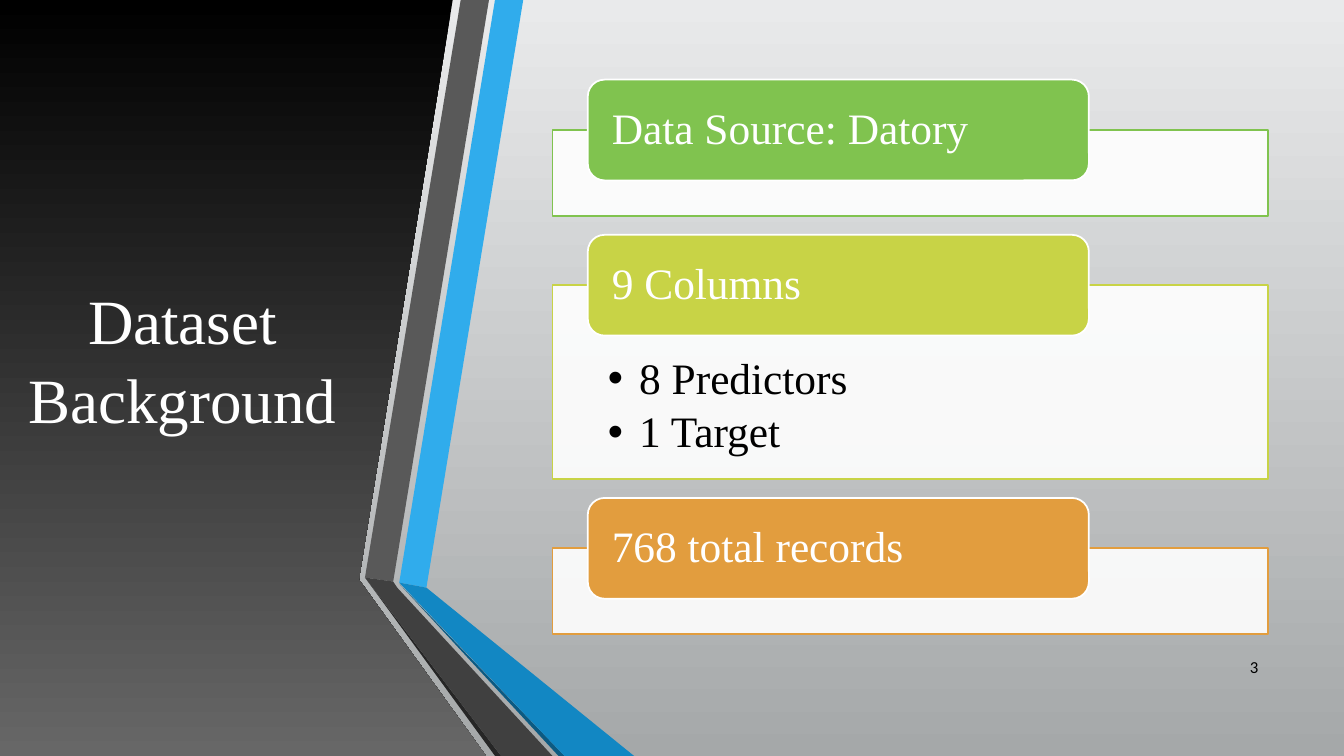
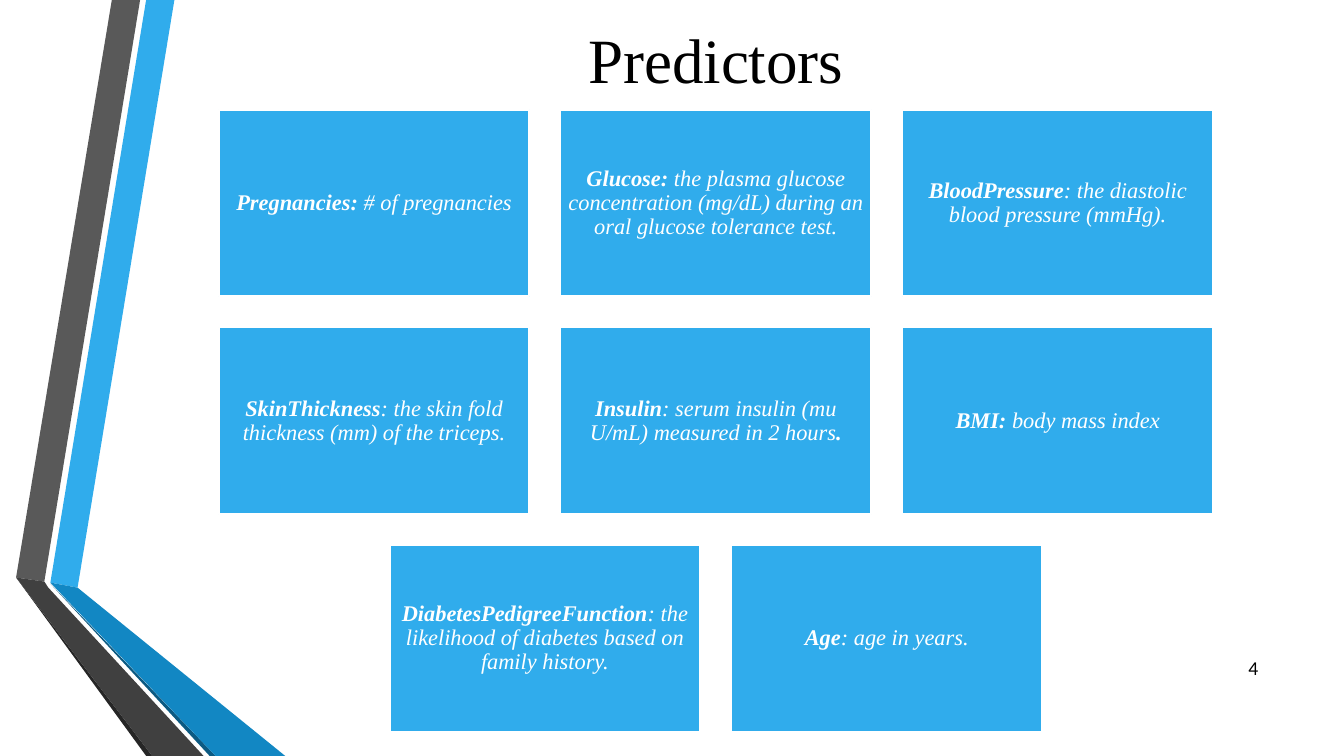
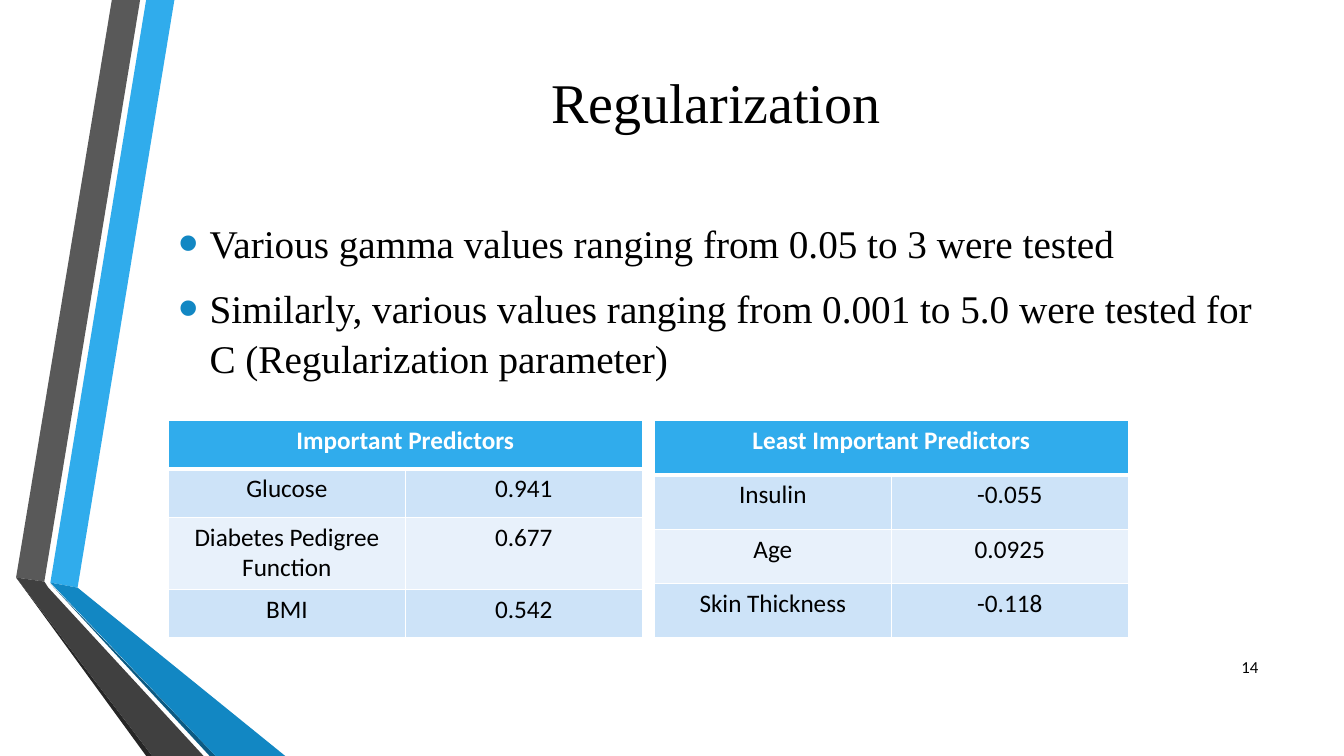
"""Build three slides on a diabetes dataset: background, predictors and regularization."""
from lxml import etree
from pptx import Presentation
from pptx.dml.color import RGBColor
from pptx.enum.shapes import MSO_SHAPE
from pptx.enum.text import MSO_ANCHOR, PP_ALIGN
from pptx.oxml.ns import qn
from pptx.util import Inches, Pt

RECT, ROUND = MSO_SHAPE.RECTANGLE, MSO_SHAPE.ROUNDED_RECTANGLE
TOP, MIDDLE = MSO_ANCHOR.TOP, MSO_ANCHOR.MIDDLE
LEFT, CENTER, RIGHT = PP_ALIGN.LEFT, PP_ALIGN.CENTER, PP_ALIGN.RIGHT

SERIF, SANS = "Times New Roman", "Calibri"
COLORS = {
    "white": "FFFFFF", "black": "000000", "blue": "30ACEC", "deep": "1287C3",
    "navy": "0C5A82", "gray": "595959", "coal": "404040", "soot": "262626",
    "pale": "E9EAEB", "steel": "A5A8A9", "ash": "676767", "green": "80C34F",
    "lime": "C8D346", "orange": "E29D3E", "band": "CDE3F8", "light": "E8F1FB",
}
RIBS = [
    ("blue", [(0.5, 5.78), (0.77, 5.83), (1.73, 0), (1.45, 0)]),
    ("gray", [(1.39, 0), (1.11, 0), (0.16, 5.73), (0.44, 5.77)]),
    ("soot", [(0.16, 5.73), (1.45, 7.5), (1.51, 7.5)]),
    ("navy", [(0.5, 5.79), (2.08, 7.5), (2.14, 7.5)]),
    ("deep", [(0.5, 5.78), (2.14, 7.5), (2.83, 7.5), (0.77, 5.83)]),
    ("coal", [(2.02, 7.5), (0.48, 5.83), (0.44, 5.77), (0.16, 5.73), (1.51, 7.5)]),
]
SIDE = [(0, 0), (4.49, 0), (3.56, 5.75), (4.82, 7.5), (0, 7.5)]
FACTS = [
    ("green", "Data Source: Datory", [], 0.85),
    ("lime", "9 Columns", ["8 Predictors", "1 Target"], 1.92),
    ("orange", "768 total records", [], 0.85),
]
CARDS = [
    [
        [("Pregnancies: ", True), ("# of pregnancies", False)],
        [("Glucose: ", True), ("the plasma glucose concentration (mg/dL) "
                               "during an oral glucose tolerance test.", False)],
        [("BloodPressure", True), (": the diastolic blood pressure (mmHg).", False)],
    ],
    [
        [("SkinThickness", True), (": the skin fold thickness (mm) of the triceps.", False)],
        [("Insulin", True), (": serum insulin (mu U/mL) measured in 2 hours", False), (".", True)],
        [("BMI:", True), (" body mass index", False)],
    ],
    [
        [("DiabetesPedigreeFunction", True),
         (": the likelihood of diabetes based on family history.", False)],
        [("Age", True), (": age in years.", False)],
    ],
]
NOTES = [
    "Various gamma values ranging from 0.05 to 3 were tested",
    "Similarly, various values ranging from 0.001 to 5.0 were tested for "
    "C (Regularization parameter)",
]
TABLES = [
    (1.67, "Important Predictors", [0.48, 0.48, 0.72, 0.48],
     [("Glucose", "0.941"), ("Diabetes Pedigree Function", "0.677"), ("BMI", "0.542")]),
    (6.49, "Least Important Predictors", [0.54] * 4,
     [("Insulin", "-0.055"), ("Age", "0.0925"), ("Skin Thickness", "-0.118")]),
]


def rgb(name):
    """Return the named colour."""
    return RGBColor.from_string(COLORS[name])


def paint(fill, name):
    """Fill with one colour."""
    fill.solid()
    fill.fore_color.rgb = rgb(name)


def fade(fill, top, base):
    """Fill with a gradient that runs down the page."""
    fill.gradient()
    fill.gradient_angle = 270
    for stop, name, place in zip(fill.gradient_stops, (top, base), (0, 1)):
        stop.color.rgb = rgb(name)
        stop.position = place


def bullet(par, color, size):
    """Give a paragraph a hanging bullet."""
    props = par._p.get_or_add_pPr()
    props.set("marL", str(Inches(0.31)))
    props.set("indent", str(-Inches(0.31)))
    tint = etree.SubElement(props, qn("a:buClr"))
    etree.SubElement(tint, qn("a:srgbClr"), val=COLORS[color])
    etree.SubElement(props, qn("a:buSzPct"), val=str(size * 1000))
    etree.SubElement(props, qn("a:buFont"), typeface="Arial")
    etree.SubElement(props, qn("a:buChar"), char="•")


def write(frame, *lines, font=SERIF, size=18, color="black", bold=False, ital=False,
          align=LEFT, space=1.0, before=0, after=0, mark=None):
    """Write paragraphs, each a string or a list of (string, bold) runs."""
    for num, line in enumerate(lines):
        par = frame.add_paragraph() if num else frame.paragraphs[0]
        par.alignment, par.line_spacing = align, space
        par.space_before, par.space_after = Pt(before), Pt(after)
        if mark:
            bullet(par, *mark)
        for words, heavy in [(line, bold)] if isinstance(line, str) else line:
            run = par.add_run()
            run.text = words
            run.font.name, run.font.size = font, Pt(size)
            run.font.bold, run.font.italic = heavy, ital
            run.font.color.rgb = rgb(color)


def fit(frame, anchor=MIDDLE, inset=(0.1, 0.05, 0.1, 0.05)):
    """Set wrap, anchor and margins of a text frame and return it."""
    frame.word_wrap, frame.vertical_anchor = True, anchor
    (frame.margin_left, frame.margin_top,
     frame.margin_right, frame.margin_bottom) = map(Inches, inset)
    return frame


def label(slide, area, *lines, anchor=MIDDLE, **style):
    """Add a text box."""
    box = slide.shapes.add_textbox(*map(Inches, area))
    write(fit(box.text_frame, anchor), *lines, **style)


def block(slide, kind, area, fill, line):
    """Add a filled and outlined preset shape."""
    shape = slide.shapes.add_shape(kind, *map(Inches, area))
    shape.shadow.inherit = False
    paint(shape.fill, fill)
    shape.line.color.rgb = rgb(line)
    shape.line.width = Pt(1.25)
    return shape


def outline(slide, points, shift=0):
    """Add a closed polygon without a line."""
    spots = [(Inches(x + shift), Inches(y)) for x, y in points]
    maker = slide.shapes.build_freeform(*spots[0])
    maker.add_line_segments(spots[1:], close=True)
    shape = maker.convert_to_shape()
    shape.shadow.inherit = False
    shape.line.fill.background()
    return shape


def ribs(slide, shift=0):
    """Add the folded ribbons."""
    for name, points in RIBS:
        paint(outline(slide, points, shift).fill, name)


def title(slide, words, area, size=45, color="black", space=1.0):
    """Add the slide title."""
    label(slide, area, words, size=size, color=color, align=CENTER, space=space)


def number(slide, page, size=12):
    """Add the page number."""
    label(slide, (11.98, 6.42, 0.6, 0.4), page, font=SANS, size=size, align=RIGHT)


def panel(slide, top, color, head, items, height):
    """Add a panel with a tab on its upper edge."""
    back = block(slide, RECT, (5.48, top + 0.5, 7.1, height), "white", color)
    tint = back._element.spPr.find(qn("a:solidFill"))[0]
    etree.SubElement(tint, qn("a:alpha"), val="90000")
    if items:
        frame = fit(back.text_frame, TOP, (0.55, 0.71, 0.55, 0.24))
        write(frame, *items, size=31, space=0.9, after=4.65, mark=("black", 100))
    tab = block(slide, ROUND, (5.83, top, 4.97, 1), color, "white")
    frame = fit(tab.text_frame, inset=(0.19, 0, 0.19, 0))
    write(frame, head, size=31, color="white", space=0.9)


def border(cell, **widths):
    """Draw white cell borders, keyed by side."""
    props = cell._tc.get_or_add_tcPr()
    for side in "LRTB":
        edge = etree.SubElement(props, qn("a:ln" + side), w=str(Pt(widths.get(side, 1))))
        fill = etree.SubElement(edge, qn("a:solidFill"))
        etree.SubElement(fill, qn("a:srgbClr"), val=COLORS["white"])


def grid(slide, left, head, heights, rows):
    """Add a two-column table under one merged heading."""
    area = map(Inches, (left, 4.17, 4.7, sum(heights)))
    table = slide.shapes.add_table(len(heights), 2, *area).table
    for row, height in zip(table.rows, heights):
        row.height = Inches(height)
    table.cell(0, 0).merge(table.cell(0, 1))
    for r, row in enumerate([(head, ""), *rows]):
        for c, words in enumerate(row):
            cell = table.cell(r, c)
            border(cell, T=3 if r == 1 else 1, B=1 if r else 3)
            paint(cell.fill, ("light", "band")[r % 2] if r else "blue")
            if words:
                write(cell.text_frame, words, font=SANS, align=CENTER, bold=r == 0,
                      color="black" if r else "white")


def source(slide):
    """Build the dataset slide."""
    fade(slide.background.fill, "pale", "steel")
    fade(outline(slide, SIDE).fill, "black", "ash")
    title(slide, "Dataset Background", (0.15, 0.75, 3.32, 5.58), color="white", space=1.05)
    ribs(slide, 3.46)
    top = 0.79
    for color, head, items, height in FACTS:
        panel(slide, top, color, head, items, height)
        top += 0.5 + height + 0.19
    number(slide, "3")


def factors(slide):
    """Build the predictors slide."""
    ribs(slide)
    title(slide, "Predictors", (1.62, 0.12, 10.96, 0.91))
    wide, high, gap = 3.08, 1.85, 0.31
    for r, row in enumerate(CARDS):
        left = 7.1 - (len(row) * (wide + gap) - gap) / 2
        for c, runs in enumerate(row):
            area = (left + c * (wide + gap), 1.09 + r * (high + gap), wide, high)
            card = block(slide, RECT, area, "blue", "white")
            write(fit(card.text_frame, inset=[0.07] * 4), runs, size=16, color="white",
                  ital=True, align=CENTER, space=0.9)
    number(slide, "4", 14)


def tuning(slide):
    """Build the regularization slide."""
    ribs(slide)
    title(slide, "Regularization", (1.62, 0.41, 10.96, 1.19), size=40)
    label(slide, (1.67, 2.1, 10.96, 1.9), *NOTES, anchor=TOP, size=28, space=1.05,
          before=5.6, after=6, mark=("deep", 145))
    for table in TABLES:
        grid(slide, *table)
    number(slide, "14")


def main():
    """Build and save the deck."""
    deck = Presentation()
    deck.slide_width, deck.slide_height = Inches(13.33), Inches(7.5)
    for build in (source, factors, tuning):
        build(deck.slides.add_slide(deck.slide_layouts[6]))
    deck.save("out.pptx")


if __name__ == "__main__":
    main()
